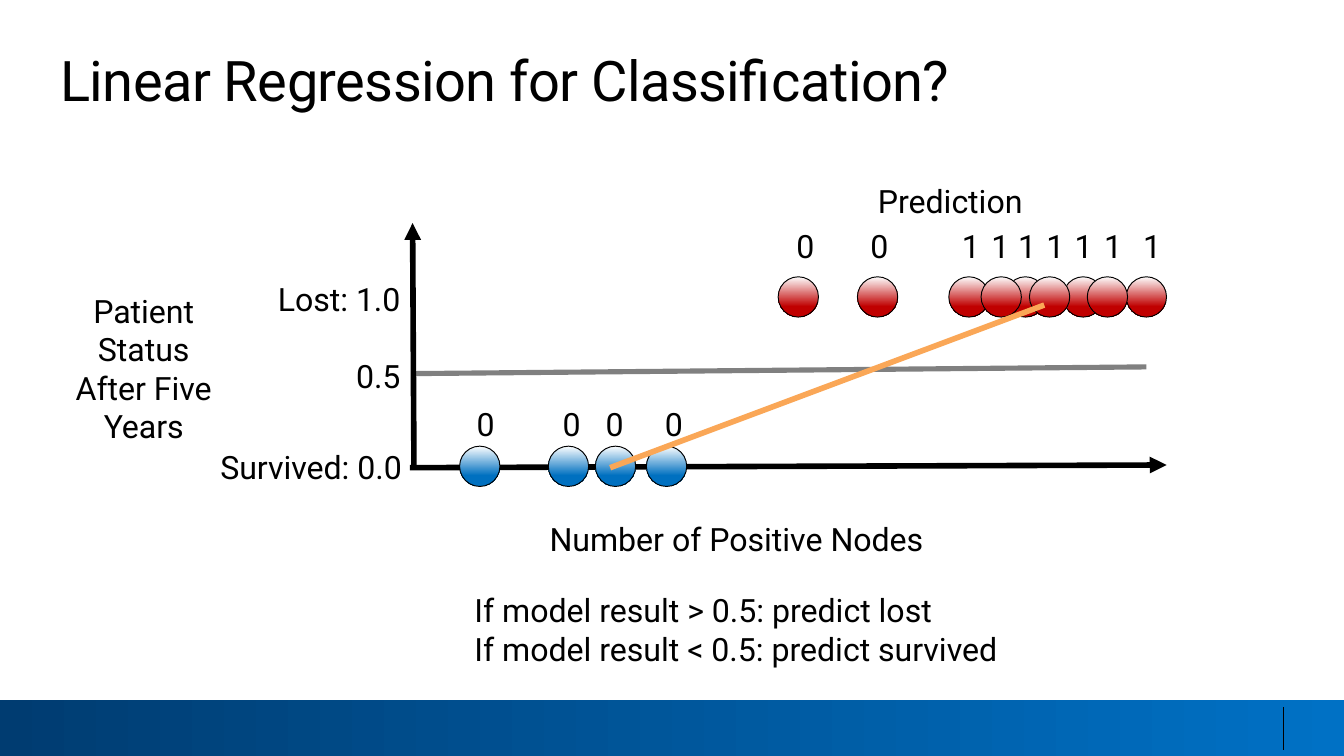
"""Build a slide on using linear regression for classification."""
from lxml import etree
from pptx import Presentation
from pptx.dml.color import RGBColor
from pptx.enum.shapes import MSO_CONNECTOR, MSO_SHAPE
from pptx.enum.text import MSO_ANCHOR, MSO_AUTO_SIZE, PP_ALIGN
from pptx.oxml.ns import qn
from pptx.util import Inches, Pt

STRAIGHT = MSO_CONNECTOR.STRAIGHT
OVAL, BAR = MSO_SHAPE.OVAL, MSO_SHAPE.RECTANGLE
TOP, MIDDLE = MSO_ANCHOR.TOP, MSO_ANCHOR.MIDDLE
LEFT, CENTER, RIGHT = PP_ALIGN.LEFT, PP_ALIGN.CENTER, PP_ALIGN.RIGHT

THEME = {
    "font": "Roboto", "title": 30, "body": 17.2,
    "ink": "000000", "threshold": "808080", "fit": "FAA757",
    "footer": ("003C71", "0071C5"),
    "survived": ("FEFFFF", "0070C0"), "lost": ("FEFFFF", "C00000"),
}
CELL = Inches(0.1)
COLUMNS, ROWS = 100, 56.25
DOT = 3
LABEL_WIDTH, LABEL_HEIGHT = 2.3, 2.9
SURVIVED_ROW, LOST_ROW = 33.2, 20.6
SURVIVED_LABEL_ROW, LOST_LABEL_ROW = 30.1, 16.8
FRAME_FORMAT = {
    "margin_left": 0, "margin_right": 0, "margin_top": 0, "margin_bottom": 0,
    "word_wrap": True, "auto_size": MSO_AUTO_SIZE.SHAPE_TO_FIT_TEXT,
}

deck = Presentation()
deck.slide_width, deck.slide_height = COLUMNS * CELL, int(ROWS * CELL)
slide = deck.slides.add_slide(deck.slide_layouts[6])


def draw_line(ends, color, width, arrow=False):
    rule = slide.shapes.add_connector(STRAIGHT, *[int(v * CELL) for v in ends])
    rule.line.color.rgb = RGBColor.from_string(THEME[color])
    rule.line.width = Pt(width)
    if arrow:
        outline = rule.line._get_or_add_ln()
        etree.SubElement(outline, qn("a:tailEnd"), type="triangle")
    etree.SubElement(rule._element.spPr, qn("a:effectLst"))


def write(lines, box, align=LEFT, anchor=MIDDLE, size="body", spacing=0):
    frame = slide.shapes.add_textbox(*[int(v * CELL) for v in box]).text_frame
    for name, value in {**FRAME_FORMAT, "vertical_anchor": anchor}.items():
        setattr(frame, name, value)
    frame.text = lines
    font_format = {"name": THEME["font"], "size": Pt(THEME[size])}
    for paragraph in frame.paragraphs:
        paragraph.alignment = align
        paragraph._p.get_or_add_pPr().set("marL", str(Inches(0.01)))
        font = paragraph.runs[0].font
        for name, value in font_format.items():
            setattr(font, name, value)
        font.color.rgb = RGBColor.from_string(THEME["ink"])
        if spacing:
            font._element.set("spc", str(spacing))


draw_line((30.7, 27.8, 85.3, 27.3), "threshold", 2.75)
draw_line((30.5, 34.8, 86.8, 34.6), "ink", 3, arrow=True)
draw_line((30.8, 34.6, 30.7, 16.6), "ink", 3, arrow=True)

survived_columns = (34.2, 40.8, 44.3, 48.1)
lost_columns = (57.9, 63.8, 70.6, 74.8, 79.1, 83.8, 76.6, 73, 80.9)
gradient_parts = [(BAR, (0, 52.1, COLUMNS, 4.15), "footer", 1, 0)]
for group, columns, row, stop in (
    ("survived", survived_columns, SURVIVED_ROW, 0.73),
    ("lost", lost_columns, LOST_ROW, 0.74),
):
    gradient_parts += [(OVAL, (x, row, DOT, DOT), group, stop, 270) for x in columns]

for outline, box, group, stop, angle in gradient_parts:
    part = slide.shapes.add_shape(outline, *[int(v * CELL) for v in box])
    part.shadow.inherit = False
    part.fill.gradient()
    part.fill.gradient_angle = angle
    for gradient_stop, color, position in zip(
        part.fill.gradient_stops, THEME[group], (0, stop)
    ):
        gradient_stop.color.rgb = RGBColor.from_string(color)
        gradient_stop.position = position
    if outline == BAR:
        part.line.fill.background()
    else:
        part.line.color.rgb = RGBColor.from_string(THEME["ink"])
        part.line.width = Pt(0.5)

draw_line((95.5, 52.6, 95.5, 55.8), "ink", 0.75)
draw_line((45.4, 34.8, 77.7, 22.7), "fit", 3)

write("Linear Regression for Classification?", (4.4, 3.4, 92.3, 5),
      anchor=TOP, size="title", spacing=-30)
for lines, box, align in (
    ("Number of Positive Nodes", (40.8, 38.6, 32.8, 2.9), LEFT),
    ("Survived: 0.0", (14.7, 33.3, 15.2, 2.9), RIGHT),
    ("Lost: 1.0", (19.8, 20.8, 10, 2.9), RIGHT),
    ("0.5", (19.8, 26.5, 10, 2.9), RIGHT),
    ("Patient\nStatus\nAfter Five Years", (4, 21.6, 13.3, 11.6), CENTER),
    ("If model result > 0.5: predict lost\nIf model result < 0.5: predict survived",
     (35.2, 43.9, 42.5, 5.8), LEFT),
    ("Prediction", (64.1, 13.5, 13.1, 2.9), CENTER),
):
    write(lines, box, align)

for prediction, columns, row in (
    ("0", (34.5, 40.9, 44.1, 48.5), SURVIVED_LABEL_ROW),
    ("0", (58.3, 63.8), LOST_LABEL_ROW),
    ("1", (70.6, 72.8, 74.8, 76.9, 79, 81.2, 84.1), LOST_LABEL_ROW),
):
    for column in columns:
        write(prediction, (column, row, LABEL_WIDTH, LABEL_HEIGHT), RIGHT)

deck.save("out.pptx")
